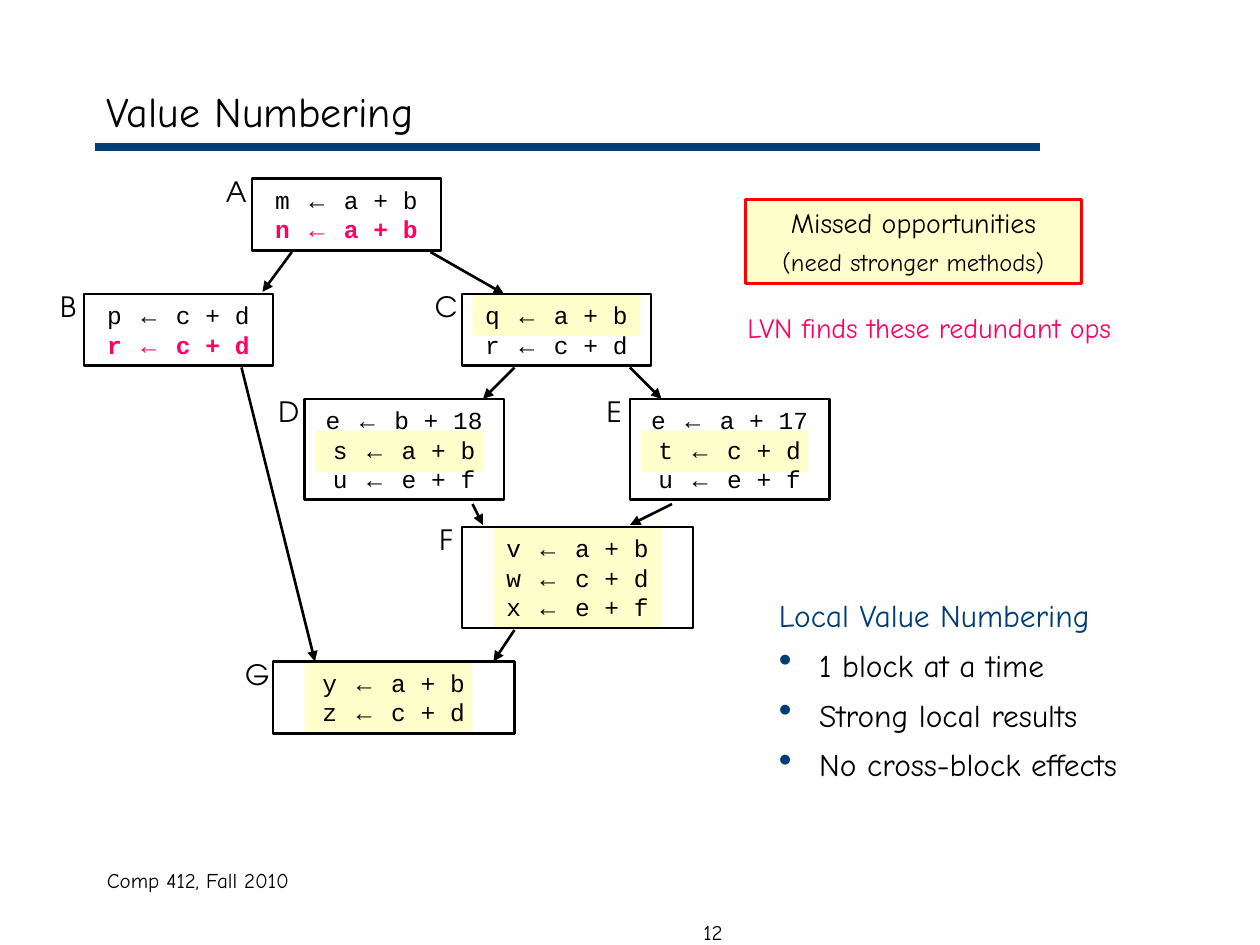
from lxml import etree
from pptx import Presentation
from pptx import util as u
from pptx.dml.color import RGBColor
from pptx.enum import shapes, text
from pptx.oxml import ns

# The slide is a grid of 120 columns by 90 rows
CELL = u.Inches(10) / 120

BLACK = RGBColor(0x00, 0x00, 0x00)
NAVY = RGBColor(0x00, 0x3C, 0x75)
PINK = RGBColor(0xFF, 0x00, 0x65)
RED = RGBColor(0xFF, 0x00, 0x00)
CREAM = RGBColor(0xFF, 0xFF, 0x99)

BODY, CODE, SIGN, LABEL = "Comic Neue", "Courier New", "Arial", "TeX Gyre Adventor"
LEFT, MID, RIGHT = text.PP_ALIGN.LEFT, text.PP_ALIGN.CENTER, text.PP_ALIGN.RIGHT

# Basic blocks: name, column, row, width, operations ("!" marks a redundant one)
BLOCKS = [
    ("A", 24, 17, 18, ["m ← a + b", "!n ← a + b"]),
    ("B", 8, 28, 18, ["p ← c + d", "!r ← c + d"]),
    ("C", 44, 28, 18, ["q ← a + b", "r ← c + d"]),
    ("D", 29, 38, 19, ["e ← b + 18", "s ← a + b", "u ← e + f"]),
    ("E", 60, 38, 19, ["e ← a + 17", "t ← c + d", "u ← e + f"]),
    ("F", 44, 50.2, 22, ["v ← a + b", "w ← c + d", "x ← e + f"]),
    ("G", 26, 63, 23, ["y ← a + b", "z ← c + d"]),
]
# Missed operations: column, row, height
MISSED = [(45, 28, 4), (61, 41, 4), (30, 41, 4), (47, 50, 10), (29, 63, 7)]
# Control flow: start column and row, end column and row
FLOW = [
    (27.8, 24, 25, 27.8), (41, 24, 48, 28), (49, 35, 46, 38),
    (60, 35, 63, 38), (23, 35, 30, 63), (45, 48, 46, 50),
    (64, 48, 60, 50), (49, 60, 47, 63),
]
POINTS = ["1 block at a time", "Strong local results", "No cross-block effects"]


def cells(*nums):
    return [u.Emu(round(n * CELL)) for n in nums]


def add(node, tag, **attrs):
    return etree.SubElement(node, ns.qn(tag), attrs)


def style(item, form):
    """Set each value on a run's font; colour goes to its own object."""
    for key, val in form.items():
        if key == "color":
            item.font.color.rgb = val
        else:
            setattr(item.font, key, val)


def write(para, words, **form):
    run = para.add_run()
    run.text = words
    style(run, {"name": BODY, "size": u.Pt(16), "color": BLACK, **form})


def setup(frame, anchor=text.MSO_ANCHOR.TOP):
    form = {"word_wrap": True, "vertical_anchor": anchor}
    for key, val in form.items():
        setattr(frame, key, val)
    return frame


def label(slide, words, box, align=LEFT, anchor=text.MSO_ANCHOR.TOP, **form):
    frame = setup(slide.shapes.add_textbox(*cells(*box)).text_frame, anchor)
    para = frame.paragraphs[0]
    para.alignment = align
    write(para, words, **form)
    return frame


def rect(slide, box, fill=None, line=None):
    shape = slide.shapes.add_shape(shapes.MSO_SHAPE.RECTANGLE, *cells(*box))
    shape.shadow.inherit = False
    if fill is None:
        shape.fill.background()
    else:
        shape.fill.solid()
        shape.fill.fore_color.rgb = fill
        tint = shape.fill._xPr.find(ns.qn("a:solidFill"))[0]
        add(tint, "a:alpha", val="50000")
    if line is None:
        shape.line.fill.background()
    else:
        shape.line.color.rgb = line
        shape.line.width = u.Pt(1.5)
    return setup(shape.text_frame)


def rule(slide, ends, color=BLACK, width=1.5, arrow=True):
    line = slide.shapes.add_connector(shapes.MSO_CONNECTOR.STRAIGHT, *cells(*ends))
    line.line.color.rgb = color
    line.line.width = u.Pt(width)
    if arrow:
        add(line.line._get_or_add_ln(), "a:tailEnd", type="triangle")
    add(line._element.spPr, "a:effectLst")


def block(slide, name, col, row, width, ops):
    """A framed list of operations with its letter at the upper left."""
    high = 1.3 + 2.77 * len(ops)
    frame = rect(slide, (col, row, width, high), line=BLACK)
    for num, op in enumerate(ops):
        para = frame.add_paragraph() if num else frame.paragraphs[0]
        para.alignment = MID
        form = {"size": u.Pt(14)}
        if op.startswith("!"):
            form.update(color=PINK, bold=True)
        left, sign, right = op.lstrip("!").partition("←")
        for part, face in ((left, CODE), (sign, SIGN), (right, CODE)):
            write(para, part, name=face, **form)
    label(slide, name, (col - 4, row - 1, 5, 4.4), MID, name=LABEL)


def callout(slide):
    frame = rect(slide, (71, 19, 32, 8), CREAM, RED)
    head, note = frame.paragraphs[0], frame.add_paragraph()
    head.alignment = note.alignment = MID
    note.space_before = u.Pt(4.4)
    write(head, "Missed opportunities")
    write(note, "(need stronger methods)", size=u.Pt(14))


def summary(slide):
    size = u.Pt(18)
    frame = label(slide, "Local Value Numbering", (73, 56.2, 39.2, 19),
                  size=size, color=NAVY)
    for point in POINTS:
        para = frame.add_paragraph()
        para.space_before = u.Pt(6.8)
        props = para._p.get_or_add_pPr()
        hang = u.Inches(0.32)
        props.set("marL", str(hang))
        props.set("indent", str(-hang))
        add(add(props, "a:buClr"), "a:srgbClr", val=str(NAVY))
        add(props, "a:buSzPct", val="120000")
        add(props, "a:buChar", char="•")
        write(para, point, size=size)


def main():
    deck = Presentation()
    deck.slide_width, deck.slide_height = cells(120, 90)
    slide = deck.slides.add_slide(deck.slide_layouts[6])

    # Title, rule and footer
    rule(slide, (9, 14, 99, 14), NAVY, 4.5, arrow=False)
    label(slide, "Value Numbering", (9, 7, 102, 7),
          anchor=text.MSO_ANCHOR.MIDDLE, size=u.Pt(24))
    label(slide, "Comp 412, Fall 2010", (9, 82, 38, 6), size=u.Pt(12))
    label(slide, "12", (45, 87, 25, 6), RIGHT, size=u.Pt(12))

    # Control-flow graph, highlights at the back
    for col, row, high in MISSED:
        rect(slide, (col, row, 16, high), CREAM)
    for item in BLOCKS:
        block(slide, *item)
    for ends in FLOW:
        rule(slide, ends)

    # Remarks on the right
    callout(slide)
    label(slide, "LVN finds these redundant ops", (70, 29, 43, 4.4), color=PINK)
    summary(slide)

    deck.save("out.pptx")


if __name__ == "__main__":
    main()
